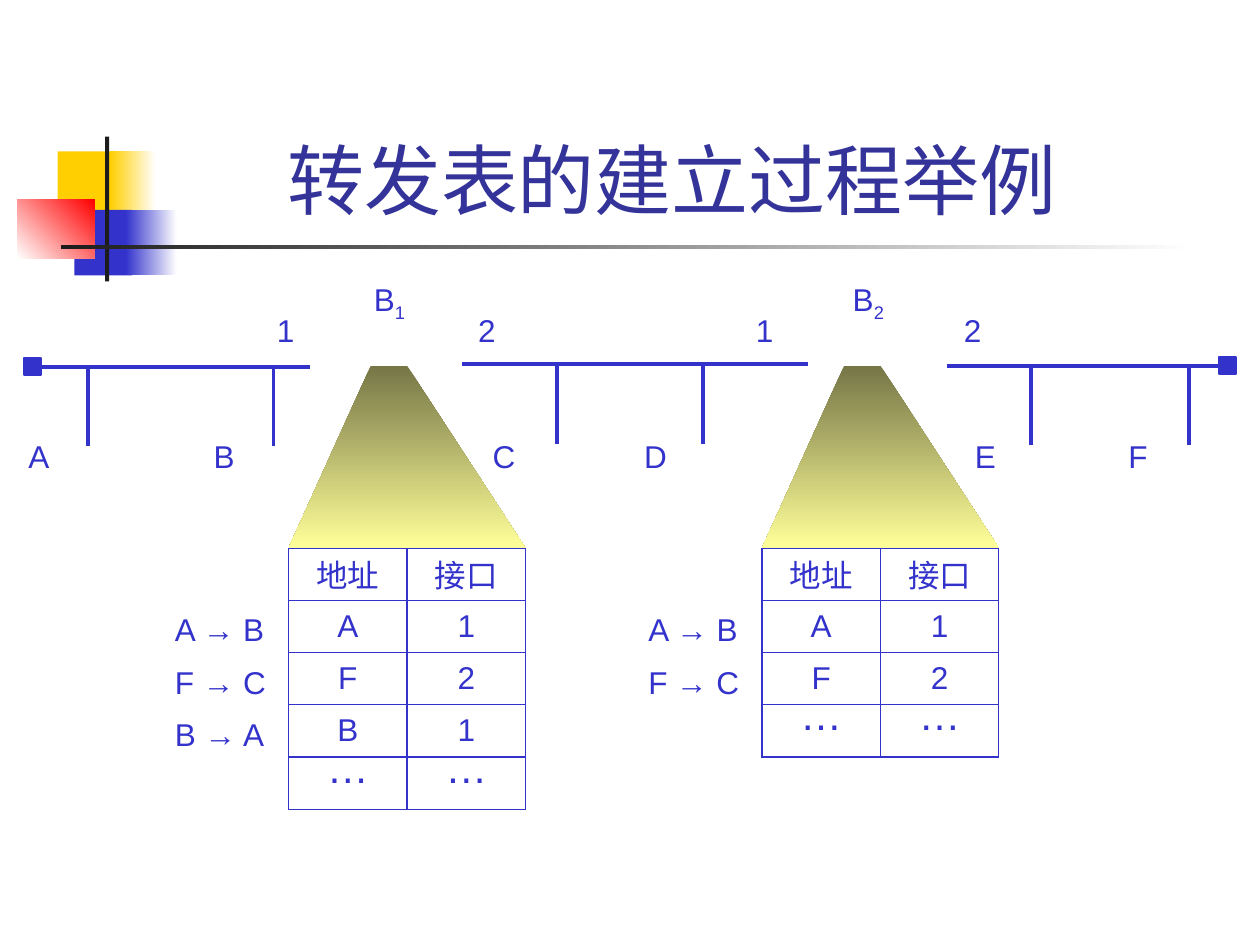
from lxml import etree
from pptx import Presentation
from pptx.dml.color import RGBColor
from pptx.enum.shapes import MSO_CONNECTOR, MSO_SHAPE
from pptx.enum.text import MSO_ANCHOR, PP_ALIGN
from pptx.oxml.ns import qn
from pptx.util import Pt

RECTANGLE = MSO_SHAPE.RECTANGLE
STRAIGHT = MSO_CONNECTOR.STRAIGHT
CENTER = PP_ALIGN.CENTER
TOP, MIDDLE, BOTTOM = MSO_ANCHOR.TOP, MSO_ANCHOR.MIDDLE, MSO_ANCHOR.BOTTOM

BLUE = RGBColor(0x33, 0x33, 0xCC)
TITLE_BLUE = RGBColor(0x33, 0x33, 0x99)
YELLOW = RGBColor(0xFF, 0xCF, 0x01)
RED = RGBColor(0xFF, 0x00, 0x00)
BLACK = RGBColor(0x1C, 0x1C, 0x1C)
WHITE = RGBColor(0xFF, 0xFF, 0xFF)
BEAM_DARK = RGBColor(0x76, 0x76, 0x47)
BEAM_LIGHT = RGBColor(0xFF, 0xFF, 0x99)

FONT = "Arial"
ELLIPSIS = "…"
LEFT_SIDE, RIGHT_SIDE = 1, 3
COLUMN_WIDTH, ROW_HEIGHT = 67.7, 29.85
FRAME_WIDTH = 72
BUS_Y, TABLE_Y = 209, 313.2


def paint(shape, start, end=None, angle=0):
    """Fill plainly, or from start to end at a counter-clockwise angle."""
    shape.shadow.inherit = False
    shape.line.fill.background()
    if end is None:
        shape.fill.solid()
        shape.fill.fore_color.rgb = start
        return
    shape.fill.gradient()
    shape.fill.gradient_angle = angle
    for stop, color in zip(shape.fill.gradient_stops, (start, end)):
        stop.color.rgb = color


def add_block(slide, box, *colors, angle=0):
    block = slide.shapes.add_shape(RECTANGLE, *map(Pt, box))
    paint(block, *colors, angle=angle)
    return block


def add_line(slide, x1, y1, x2, y2):
    line = slide.shapes.add_connector(STRAIGHT, *map(Pt, (x1, y1, x2, y2)))
    line.line.color.rgb = BLUE
    line.line.width = Pt(2.25)
    etree.SubElement(line._element.spPr, qn("a:effectLst"))
    return line


def style(paragraph, size=18, color=BLUE):
    paragraph.font.name = FONT
    paragraph.font.size = Pt(size)
    paragraph.font.color.rgb = color


def add_label(slide, text, left, top, width=28, subscript="", spacing=1.0):
    frame = slide.shapes.add_textbox(*map(Pt, (left, top, width, 29))).text_frame
    frame.word_wrap = False
    paragraph = frame.paragraphs[0]
    paragraph.line_spacing = spacing
    paragraph.add_run().text = text
    if subscript:
        run = paragraph.add_run()
        run.text = subscript
        run.font._element.set("baseline", "-25000")
    style(paragraph)


def draw_ornament(slide, left, top):
    """Coloured squares with the crossing bars beside the title."""
    add_block(slide, (left + 23, top + 8.5, 35, 37.4), YELLOW)
    add_block(slide, (left + 53, top + 8.5, 26, 37.4), YELLOW, WHITE)
    add_block(slide, (left + 32.5, top + 42, 33, 37.4), BLUE)
    add_block(slide, (left + 62, top + 42, 29, 37.4), BLUE, WHITE)
    add_block(slide, (left, top + 36, 44, 33.5), WHITE, RED, angle=45)
    add_block(slide, (left + 50, top, 2.4, 82.8), BLACK)
    add_block(slide, (left + 25, top + 62, 648, 2.6), BLACK, WHITE)


def draw_title(slide, box):
    title = slide.shapes.title
    title.left, title.top, title.width, title.height = map(Pt, box)
    title.text_frame.text = "转发表的建立过程举例"
    title.text_frame.vertical_anchor = BOTTOM
    paragraph = title.text_frame.paragraphs[0]
    paragraph.alignment = CENTER
    style(paragraph, 44, TITLE_BLUE)


def draw_lan(slide, start, end, y, stations, terminator=None):
    """Bus from start to end; a station is (name, drop x, label left)."""
    bus = add_line(slide, start, y, end, y)
    for name, drop_x, label_left in stations:
        add_line(slide, drop_x, y, drop_x, y + 45.5)
        add_label(slide, name, label_left, 246.2)
    if terminator is None:
        return
    x = start - 9.3 if terminator == LEFT_SIDE else end
    cap = add_block(slide, (x, y - 4.8, 9.6, 9.6), BLUE)
    cap.line.color.rgb = BLUE
    cap.line.width = Pt(1)
    if terminator == LEFT_SIDE:
        bus.begin_connect(cap, RIGHT_SIDE)
    else:
        bus.end_connect(cap, LEFT_SIDE)


def draw_beam(slide, left, top, bottom):
    """Beam that widens from a bridge down to its forwarding table."""
    builder = slide.shapes.build_freeform(Pt(left), Pt(bottom))
    corners = [(left + 47, top), (left + COLUMN_WIDTH, top),
               (left + 2 * COLUMN_WIDTH, bottom)]
    builder.add_line_segments([(Pt(x), Pt(y)) for x, y in corners])
    paint(builder.convert_to_shape(), BEAM_DARK, BEAM_LIGHT, angle=270)


def add_borders(cell):
    properties = cell._tc.get_or_add_tcPr()
    for side in ("lnL", "lnR", "lnT", "lnB"):
        border = etree.SubElement(properties, qn(f"a:{side}"), w=str(Pt(0.75)))
        fill = etree.SubElement(border, qn("a:solidFill"))
        etree.SubElement(fill, qn("a:srgbClr"), val=str(BLUE))


def fill_cell(cell, value):
    cell.text = value
    cell.vertical_anchor = MIDDLE
    cell.margin_top = cell.margin_bottom = 0
    cell.margin_left = cell.margin_right = Pt(4)
    add_borders(cell)
    cell.fill.background()
    paragraph = cell.text_frame.paragraphs[0]
    paragraph.alignment = CENTER
    style(paragraph)
    if value == ELLIPSIS:
        # A tight line at the top lifts the dots to the middle of the row.
        cell.vertical_anchor = TOP
        paragraph.line_spacing = Pt(20)
        paragraph.font.size = Pt(24)


def draw_forwarding_table(slide, left, top, entries):
    """Table of (frame, address, port), each frame written beside its row."""
    rows = [("地址", "接口"), *(entry[1:] for entry in entries),
            (ELLIPSIS, ELLIPSIS)]
    box = (left, top, 2 * COLUMN_WIDTH, len(rows) * ROW_HEIGHT)
    table = slide.shapes.add_table(len(rows), 2, *map(Pt, box)).table
    table.first_row = table.horz_banding = False
    for row, values in zip(table.rows, rows):
        row.height = Pt(ROW_HEIGHT)
        for cell, value in zip(row.cells, values):
            fill_cell(cell, value)
    for number, (frame, _, _) in enumerate(entries, start=1):
        add_label(slide, frame, left - FRAME_WIDTH,
                  top + number * ROW_HEIGHT - 1, FRAME_WIDTH, spacing=1.15)


def draw_bridge(slide, number, left, name_left, port_lefts, entries):
    add_label(slide, "B", name_left, 156.6, 34, subscript=number)
    for port, port_left in zip("12", port_lefts):
        add_label(slide, port, port_left, 174.2)
    draw_beam(slide, left, BUS_Y, TABLE_Y)
    draw_forwarding_table(slide, left, TABLE_Y, entries)


def main():
    presentation = Presentation()
    presentation.slide_width, presentation.slide_height = Pt(720), Pt(540)
    slide = presentation.slides.add_slide(presentation.slide_layouts[5])

    draw_ornament(slide, 10, 78)
    draw_title(slide, (90.7, 17, 587, 115.2))

    draw_lan(slide, 23, 177, BUS_Y + 0.5,
             [("A", 50.5, 9.2), ("B", 156.3, 115)], LEFT_SIDE)
    draw_lan(slide, 263.8, 461.5, BUS_Y - 1,
             [("C", 318.2, 274.4), ("D", 401.5, 361)])
    draw_lan(slide, 541.2, 696.5, BUS_Y,
             [("E", 589, 550), ("F", 679.6, 637.8)], RIGHT_SIDE)

    learned = [("A → B", "A", "1"), ("F → C", "F", "2"), ("B → A", "B", "1")]
    draw_bridge(slide, "1", 164.9, 206.6, (151.2, 266.2), learned)
    draw_bridge(slide, "2", 435.4, 480.2, (424.8, 543.8), learned[:2])

    presentation.save("out.pptx")


if __name__ == "__main__":
    main()
